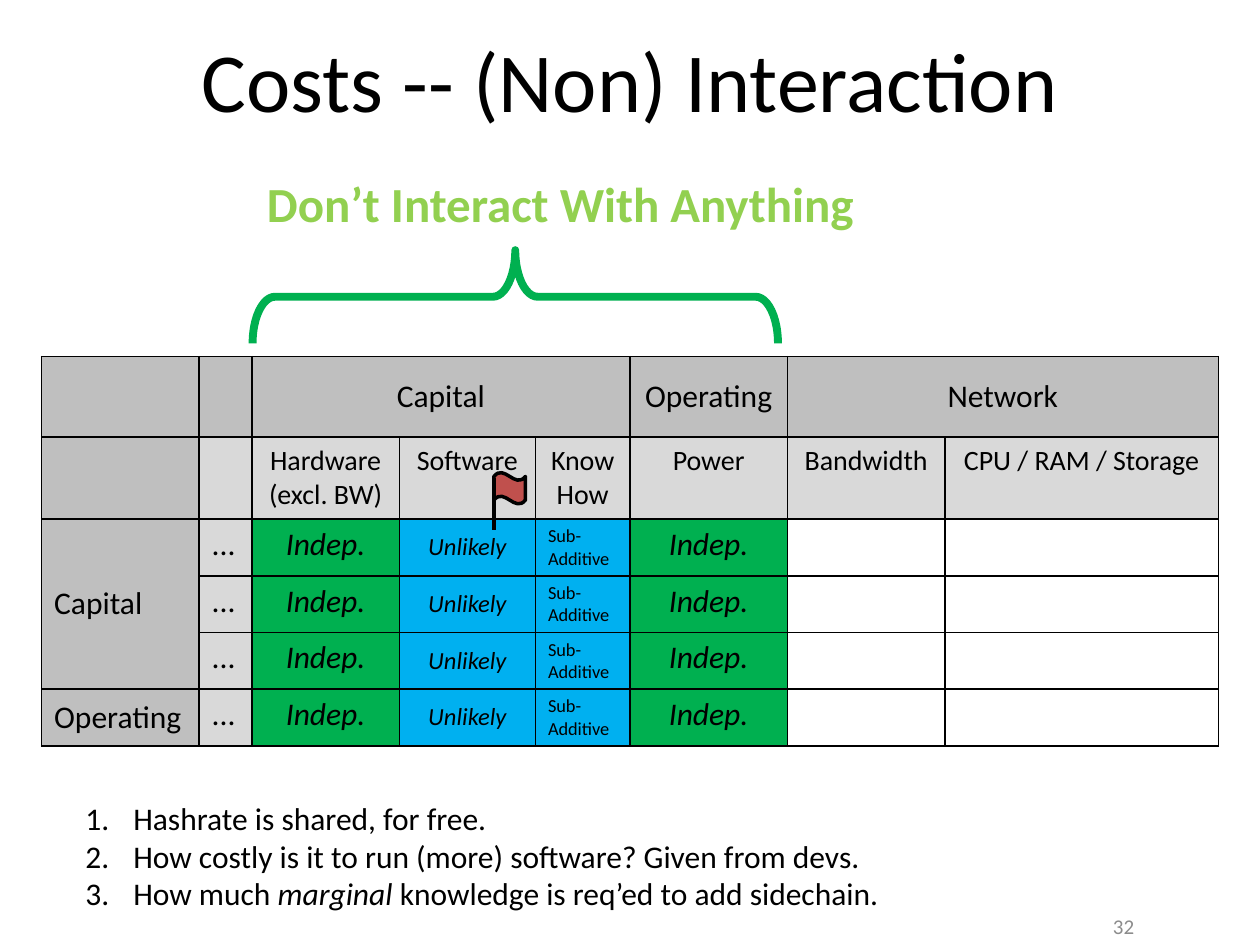
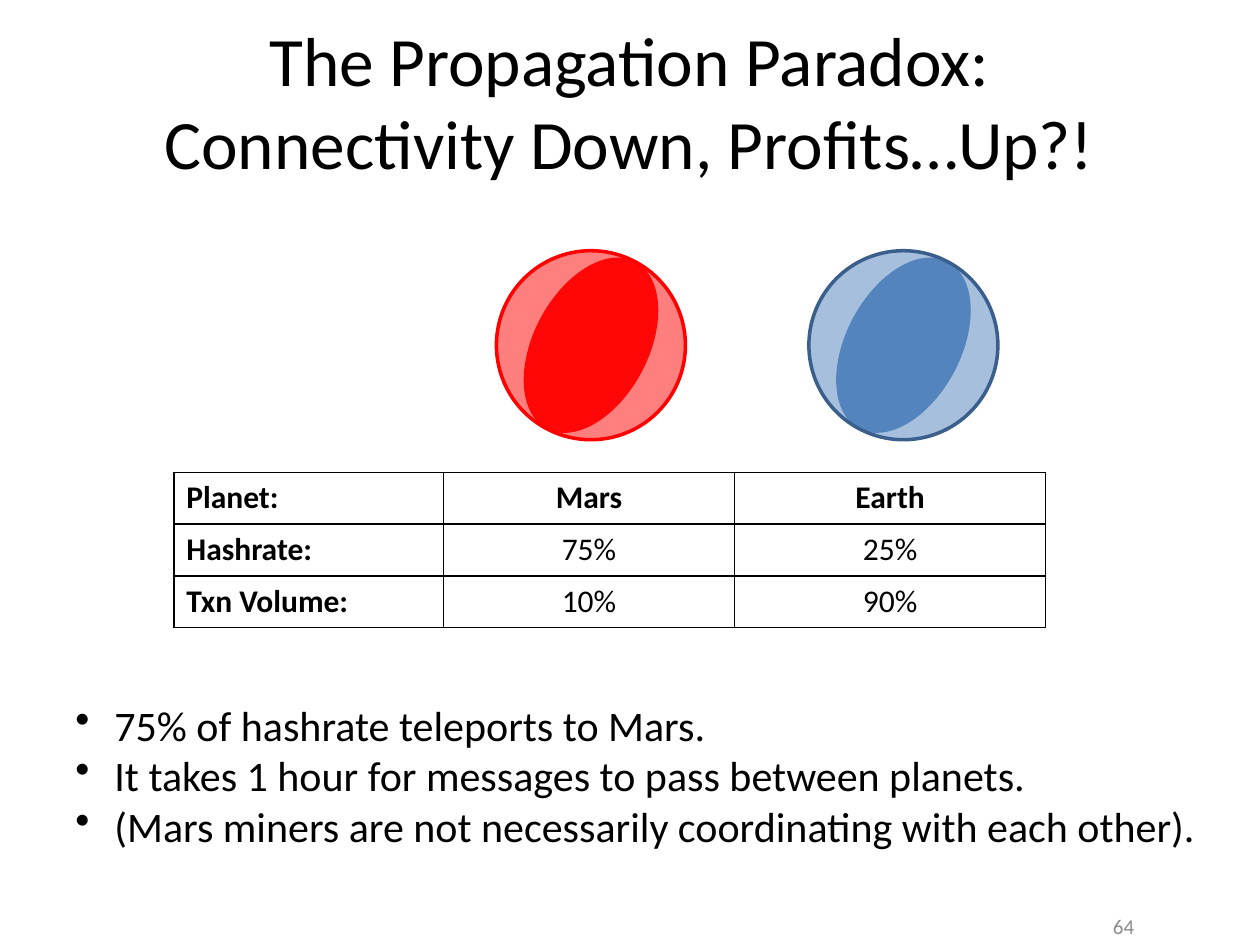
"""Builds two slides on mining costs and the propagation paradox."""
from dataclasses import dataclass
from typing import NamedTuple, Optional

from lxml import etree
from pptx import Presentation
from pptx import util as u
from pptx.dml.color import RGBColor
from pptx.enum import shapes, text
from pptx.oxml import ns

Inches = u.Inches
LEFT, CENTER, RIGHT = text.PP_ALIGN.LEFT, text.PP_ALIGN.CENTER, text.PP_ALIGN.RIGHT
TOP, MIDDLE = text.MSO_ANCHOR.TOP, text.MSO_ANCHOR.MIDDLE
SHAPE = shapes.MSO_SHAPE


@dataclass(frozen=True)
class Theme:
    font: str = "Calibri"
    black: str = "000000"
    white: str = "FFFFFF"
    number_gray: str = "8C8C8C"
    header: str = "BFBFBF"
    subheader: str = "D9D9D9"
    green: str = "00B050"
    lime: str = "92D050"
    sky: str = "00B0F0"
    flag: str = "C0504D"
    mars: str = "FF0000"
    earth: str = "4F81BD"
    earth_edge: str = "3A5F8C"
    title_size: float = 48
    long_title_size: float = 39.6
    callout_size: float = 28
    bullet_size: float = 24
    body_size: float = 18
    label_size: float = 16
    note_size: float = 14
    small_size: float = 10.5
    number_size: float = 12


THEME = Theme()


class Area(NamedTuple):
    left: float
    top: float
    width: float
    height: float

    def lengths(self) -> list:
        return [Inches(value) for value in self]


@dataclass(frozen=True)
class Style:
    size: float = THEME.body_size
    color: str = THEME.black
    bold: bool = False
    italic: bool = False
    align: int = LEFT
    anchor: int = TOP


@dataclass(frozen=True)
class Cell:
    words: str = ""
    fill: str = THEME.white
    style: Style = Style()
    across: int = 1
    down: int = 1


@dataclass(frozen=True)
class Bullet:
    tag: str
    attribute: str
    value: str
    indent: float


@dataclass(frozen=True)
class Planet:
    left: float
    fill: str
    edge: str


def add_xml(parent, tag: str, **attributes: str):
    """Append a drawing element to its parent."""
    return etree.SubElement(parent, ns.qn(tag), attributes)


def set_font(para, style: Style) -> None:
    """Apply a style to a whole paragraph."""
    para.alignment = style.align
    font = para.font
    font.name, font.size = THEME.font, u.Pt(style.size)
    font.bold = style.bold
    if style.italic:
        font.italic = True
    font.color.rgb = RGBColor.from_string(style.color)


def set_bullet(para, bullet: Bullet) -> None:
    """Give a paragraph a hanging marker."""
    properties = para._p.get_or_add_pPr()
    properties.set("marL", str(Inches(bullet.indent)))
    properties.set("indent", str(-Inches(bullet.indent)))
    add_xml(properties, bullet.tag, **{bullet.attribute: bullet.value})


def write(frame, words: str, style: Style, bullet: Optional[Bullet] = None) -> None:
    """Write one paragraph a line, with asterisks around italic words."""
    frame.vertical_anchor = style.anchor
    for index, line in enumerate(words.split("\n")):
        para = frame.add_paragraph() if index else frame.paragraphs[0]
        if bullet:
            set_bullet(para, bullet)
        set_font(para, style)
        if "*" not in line:
            para.text = line
            continue
        for position, piece in enumerate(line.split("*")):
            span = para.add_run()
            span.text = piece
            span.font.italic = position % 2 == 1


def add_text(page, area: Area, words: str, style: Style,
             bullet: Optional[Bullet] = None, wrap: bool = True) -> None:
    """Add a text box."""
    box = page.shapes.add_textbox(*area.lengths())
    box.text_frame.word_wrap = wrap
    write(box.text_frame, words, style, bullet)


def add_page(deck, title: str, area: Area, size: float, number: int):
    """Add a blank page with its title and number."""
    page = deck.slides.add_slide(deck.slide_layouts[6])
    add_text(page, area, title, Style(size, align=CENTER, anchor=MIDDLE))
    add_text(page, Area(6.77, 7.15, 2.33, 0.4), str(number),
             Style(THEME.number_size, THEME.number_gray, align=RIGHT, anchor=MIDDLE))
    return page


def add_preset(page, kind, area: Area, fill: str = "", edge: str = "",
               width: float = 2, alpha: int = 100):
    """Add a preset shape with optional fill, line and opacity."""
    shape = page.shapes.add_shape(kind, *area.lengths())
    shape.shadow.inherit = False
    if fill:
        shape.fill.solid()
        shape.fill.fore_color.rgb = RGBColor.from_string(fill)
        if alpha < 100:
            color = shape._element.spPr.find(".//" + ns.qn("a:srgbClr"))
            add_xml(color, "a:alpha", val=str(alpha * 1000))
    else:
        shape.fill.background()
    if edge:
        shape.line.color.rgb = RGBColor.from_string(edge)
        shape.line.width = u.Pt(width)
    else:
        shape.line.fill.background()
    return shape


def set_borders(cell) -> None:
    """Draw thin black lines on all sides of a cell."""
    properties = cell._tc.get_or_add_tcPr()
    for index, side in enumerate(("a:lnL", "a:lnR", "a:lnT", "a:lnB")):
        line = etree.Element(ns.qn(side), w=str(u.Pt(1)))
        add_xml(add_xml(line, "a:solidFill"), "a:srgbClr", val=THEME.black)
        properties.insert(index, line)


def add_grid(page, left: float, top: float, widths: list, heights: list, rows: list) -> None:
    """Add a bordered table, where None marks a cell covered by a merge."""
    area = Area(left, top, sum(widths), sum(heights))
    table = page.shapes.add_table(len(rows), len(widths), *area.lengths()).table
    table.first_row = table.horz_banding = False
    for column, width in zip(table.columns, widths):
        column.width = Inches(width)
    for row, height in zip(table.rows, heights):
        row.height = Inches(height)
    for r, row in enumerate(rows):
        for c, entry in enumerate(row):
            cell = table.cell(r, c)
            set_borders(cell)
            if entry is None:
                continue
            cell.fill.solid()
            cell.fill.fore_color.rgb = RGBColor.from_string(entry.fill)
            cell.vertical_anchor = entry.style.anchor
            write(cell.text_frame, entry.words, entry.style)
            if entry.across * entry.down > 1:
                cell.merge(table.cell(r + entry.down - 1, c + entry.across - 1))


def cost_rows() -> list:
    """Return the cells of the cost interaction table."""
    heading = Style(align=CENTER, anchor=MIDDLE)
    label = Style(THEME.label_size, align=CENTER)
    side = Style(anchor=MIDDLE)
    blank_header = Cell(fill=THEME.header)
    independent = Cell("Indep.", THEME.green, Style(italic=True, align=CENTER))
    unlikely = Cell("Unlikely", THEME.sky,
                    Style(THEME.note_size, italic=True, align=CENTER, anchor=MIDDLE))
    additive = Cell("Sub-Additive", THEME.sky, Style(THEME.small_size))
    body = [Cell("...", THEME.subheader), independent, unlikely, additive,
            independent, Cell(), Cell()]
    labels = ["", "Hardware\n(excl. BW)", "Software", "Know How", "Power",
              "Bandwidth", "CPU / RAM / Storage"]
    groups = [Cell("Capital", THEME.header, heading, across=3), None, None,
              Cell("Operating", THEME.header, heading),
              Cell("Network", THEME.header, heading, across=2), None]
    sides = [Cell("Capital", THEME.header, side, down=3), None, None,
             Cell("Operating", THEME.header, side)]
    return [[blank_header, blank_header] + groups,
            [blank_header] + [Cell(words, THEME.subheader, label) for words in labels],
            *[[first] + body for first in sides]]


def add_flag(page, left: float, top: float) -> None:
    """Add a small waving flag on its pole."""
    add_preset(page, SHAPE.WAVE, Area(left, top, 0.25, 0.25), THEME.flag, THEME.black)
    pole = page.shapes.add_connector(shapes.MSO_CONNECTOR.STRAIGHT, Inches(left),
                                     Inches(top + 0.04), Inches(left), Inches(top + 0.46))
    pole.line.color.rgb = RGBColor.from_string(THEME.black)
    pole.line.width = u.Pt(2.25)
    add_xml(pole._element.spPr, "a:effectLst")


def build_costs(deck) -> None:
    """Build the page on cost interaction."""
    page = add_page(deck, "Costs -- (Non) Interaction", Area(0.5, 0, 9, 1.25),
                    THEME.title_size, 32)
    add_grid(page, 0.33, 2.83, [1.25, 0.42, 1.17, 1.08, 0.75, 1.25, 1.25, 2.17],
             [0.64, 0.65] + [0.45] * 4, cost_rows())
    brace = add_preset(page, SHAPE.RIGHT_BRACE, Area(3.72, 0.27, 0.74, 4.17),
                       edge=THEME.green, width=4.5)
    brace.rotation = 270
    brace.adjustments[0], brace.adjustments[1] = 0.24, 0.5
    add_text(page, Area(2.02, 1.33, 4.91, 0.57), "Don’t Interact With Anything",
             Style(THEME.callout_size, THEME.lime, bold=True), wrap=False)
    add_text(page, Area(0.58, 6.29, 6.5, 1.01),
             "Hashrate is shared, for free.\n"
             "How costly is it to run (more) software? Given from devs.\n"
             "How much *marginal* knowledge is req’ed to add sidechain.",
             Style(), Bullet("a:buAutoNum", "type", "arabicPeriod", 0.38), wrap=False)
    add_flag(page, 3.92, 3.75)


def add_planet(page, planet: Planet) -> None:
    """Add a translucent globe with a tilted dark core."""
    top, size, core = 1.99, 1.5, 0.91
    inner = add_preset(page, SHAPE.OVAL,
                       Area(planet.left + (size - core) / 2, top, core, size),
                       planet.fill, alpha=94)
    inner.rotation = 28
    add_preset(page, SHAPE.OVAL, Area(planet.left, top, size, size),
               planet.fill, planet.edge, alpha=50)


def build_paradox(deck) -> None:
    """Build the page on the propagation paradox."""
    page = add_page(deck, "The Propagation Paradox:\vConnectivity Down, Profits…Up?!",
                    Area(0.17, 0.17, 9.65, 1.25), THEME.long_title_size, 64)
    for planet in (Planet(3.94, THEME.mars, THEME.mars),
                   Planet(6.42, THEME.earth, THEME.earth_edge)):
        add_planet(page, planet)
    facts = [("Planet:", "Mars", "Earth"), ("Hashrate:", "75%", "25%"),
             ("Txn Volume:", "10%", "90%")]
    rows = [[Cell(words, style=Style(bold=r == 0 or c == 0, align=CENTER if c else LEFT))
             for c, words in enumerate(fact)] for r, fact in enumerate(facts)]
    add_grid(page, 1.38, 3.75, [2.14, 2.31, 2.47], [0.41] * 3, rows)
    add_text(page, Area(0.5, 5.5, 9.32, 1.31),
             "75% of hashrate teleports to Mars.\n"
             "It takes 1 hour for messages to pass between planets.\n"
             "(Mars miners are not necessarily coordinating with each other).",
             Style(THEME.bullet_size), Bullet("a:buChar", "char", "•", 0.31))


def main() -> None:
    """Build and save the deck."""
    deck = Presentation()
    deck.slide_width, deck.slide_height = Inches(10), Inches(7.5)
    build_costs(deck)
    build_paradox(deck)
    deck.save("out.pptx")


if __name__ == "__main__":
    main()
